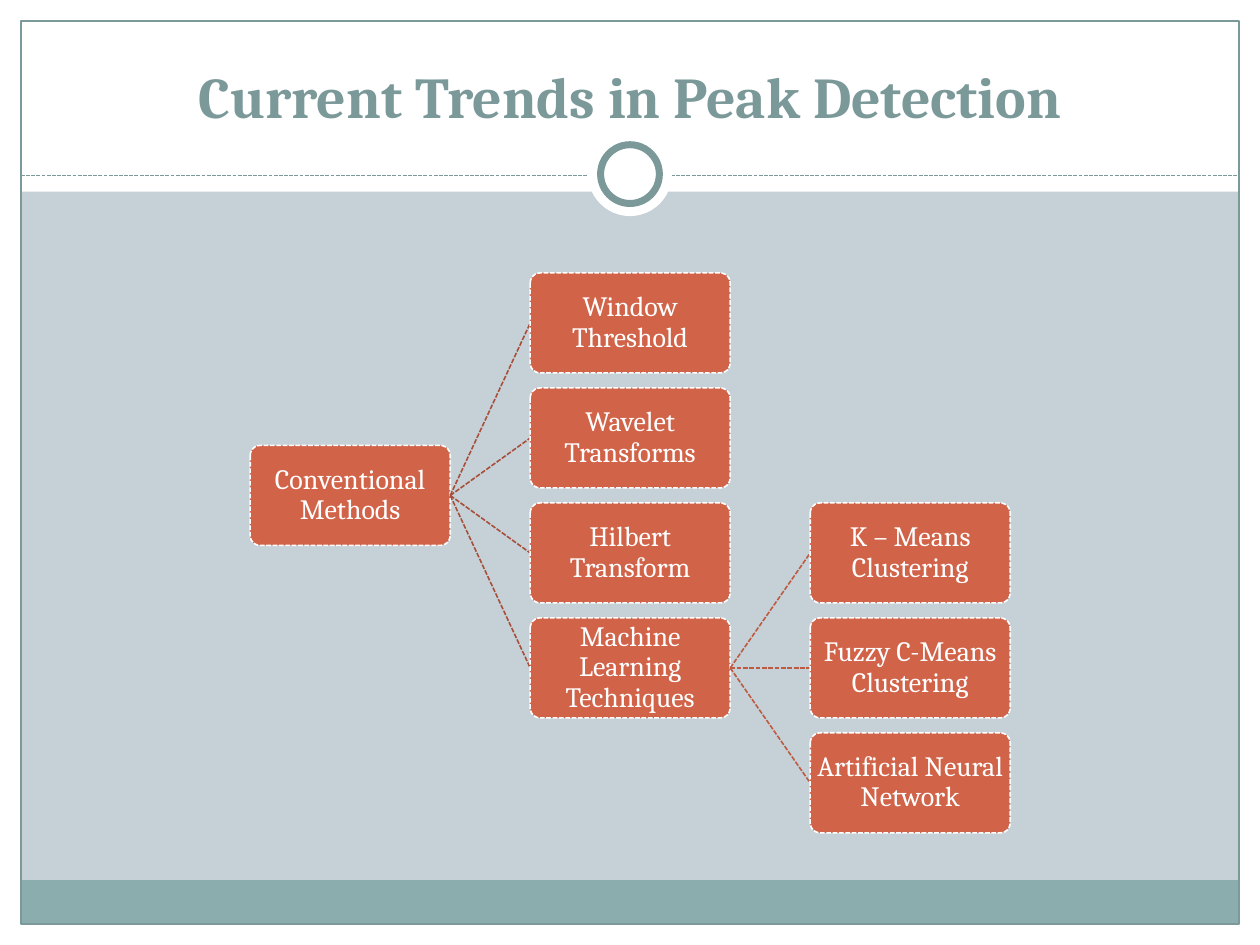
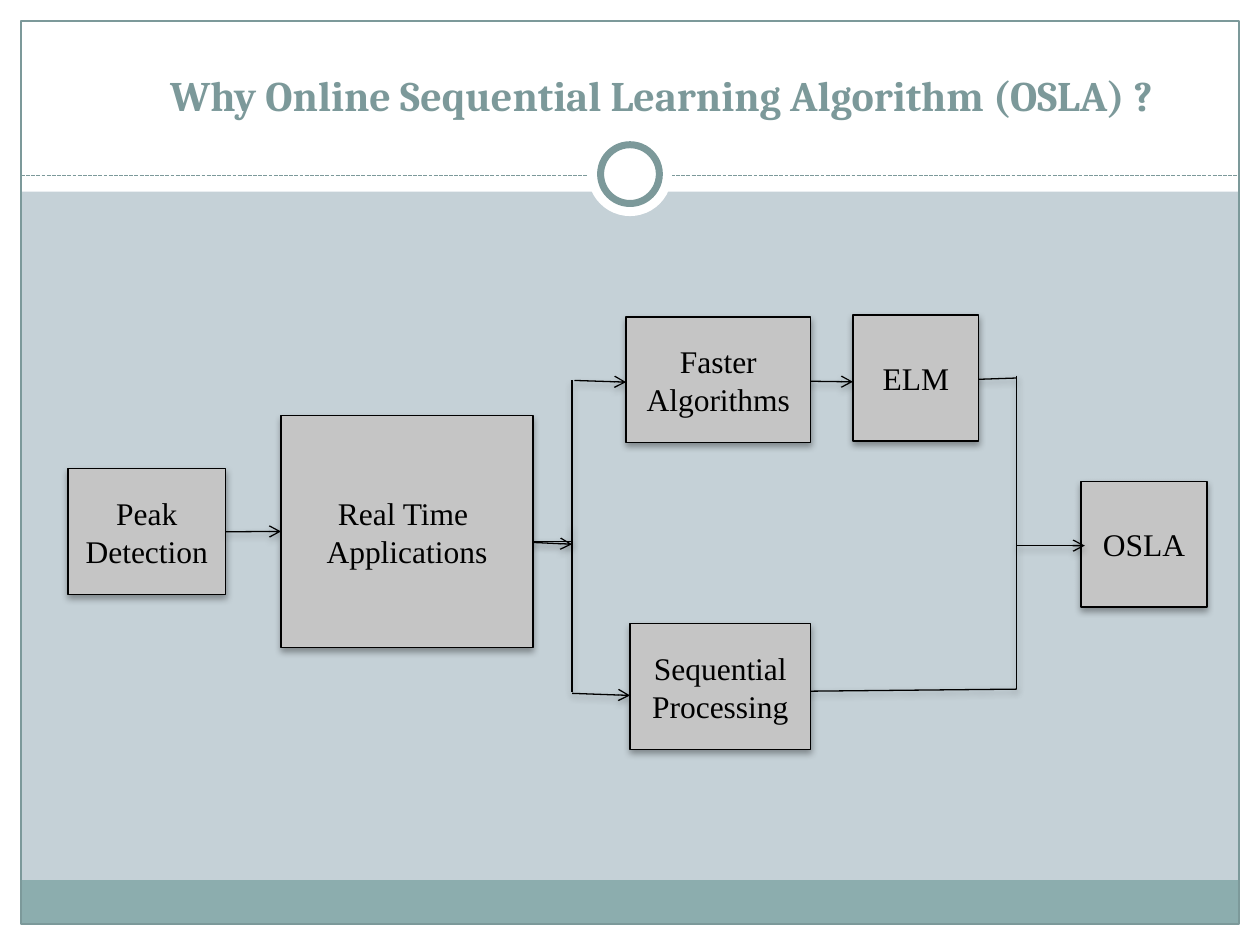
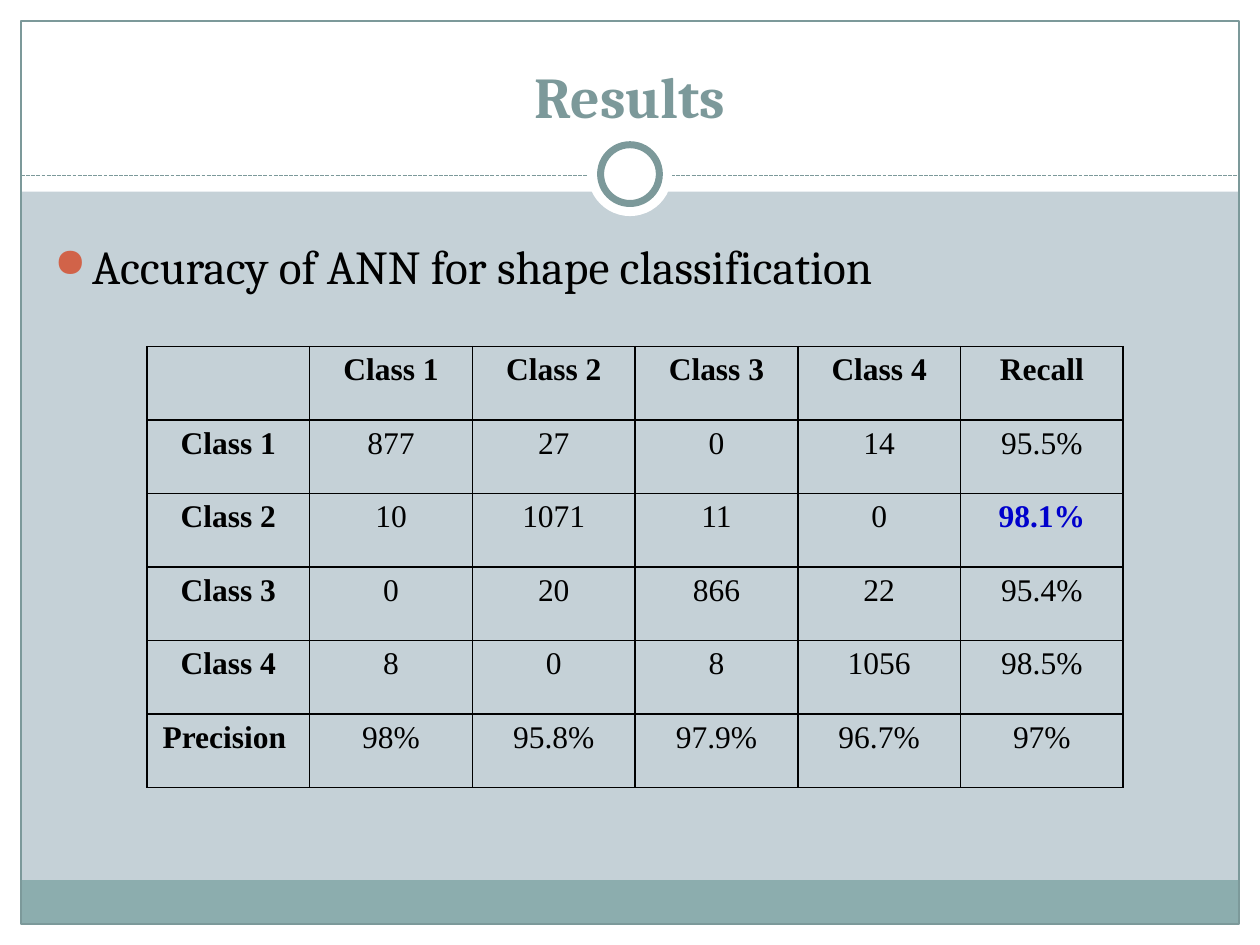
from pptx import Presentation
from pptx import util as u
from pptx.dml.color import RGBColor
from pptx.enum import dml, shapes, text
from pptx.oxml import parse_xml
from pptx.oxml.ns import nsdecls

Pt = u.Pt
WHITE = RGBColor(0xFF, 0xFF, 0xFF)
BLACK = RGBColor(0, 0, 0)
MIST = RGBColor(0xC5, 0xD1, 0xD7)
TEAL = RGBColor(0x7C, 0x99, 0x9A)
SAGE = RGBColor(0x8C, 0xAD, 0xAE)
RUST = RGBColor(0xD1, 0x63, 0x49)
BRICK = RGBColor(0xA7, 0x4F, 0x3A)
CLAY = RGBColor(0xBE, 0x5A, 0x42)
GREY = RGBColor(0xC5, 0xC5, 0xC5)
BLUE = RGBColor(0, 0, 0xCC)
SERIF = "Cambria"
TIMES = "Times New Roman"
RECT = shapes.MSO_SHAPE.RECTANGLE
ROUND = shapes.MSO_SHAPE.ROUNDED_RECTANGLE
OVAL = shapes.MSO_SHAPE.OVAL
MIDDLE = text.MSO_ANCHOR.MIDDLE
CENTER = text.PP_ALIGN.CENTER
DASH = dml.MSO_LINE.SQUARE_DOT
DROP = (
    '<a:outerShdw blurRad="50800" dist="25400" dir="5400000" rotWithShape="0">'
    '<a:srgbClr val="000000"><a:alpha val="35000"/></a:srgbClr></a:outerShdw>'
)


def node(xml):
    head, tail = xml.split(">", 1)
    slash = "/" if head.endswith("/") else ""
    return parse_xml(f"{head.rstrip('/')} {nsdecls('a')}{slash}>{tail}")


def shade(item, drop):
    inner = DROP if drop else ""
    item._element.spPr.append(node(f"<a:effectLst>{inner}</a:effectLst>"))


def stroke(line, color, width, dash=None):
    line.color.rgb = color
    line.width = Pt(width)
    if dash:
        line.dash_style = dash


def shape(slide, kind, place, fill=None, line=None, width=0.75, dash=None, drop=False):
    item = slide.shapes.add_shape(kind, *map(Pt, place))
    if fill is None:
        item.fill.background()
    else:
        item.fill.solid()
        item.fill.fore_color.rgb = fill
    if line is None:
        item.line.fill.background()
    else:
        stroke(item.line, line, width, dash)
    shade(item, drop)
    return item


def link(slide, ends, color=BLACK, width=0.75, dash=None, arrow=False, drop=False):
    item = slide.shapes.add_connector(shapes.MSO_CONNECTOR.STRAIGHT, *map(Pt, ends))
    stroke(item.line, color, width, dash)
    if arrow:
        item.line._get_or_add_ln().append(node('<a:tailEnd type="arrow"/>'))
    shade(item, drop)


def write(frame, lines, font, size, color, bold=False, align=CENTER, lead=None):
    frame.word_wrap = True
    for at, words in enumerate(lines):
        par = frame.add_paragraph() if at else frame.paragraphs[0]
        par.alignment = align
        if lead:
            par.line_spacing = lead
        run = par.add_run()
        run.text = words
        run.font.name = font
        run.font.size = Pt(size)
        run.font.bold = bold
        run.font.color.rgb = color


def label(slide, place, anchor, words, size, color, **look):
    frame = slide.shapes.add_textbox(*map(Pt, place)).text_frame
    frame.vertical_anchor = anchor
    write(frame, [words], SERIF, size, color, **look)
    return frame


def title(slide, words):
    label(slide, (24, 18, 672, 60), text.MSO_ANCHOR.BOTTOM, words, 33, TEAL, bold=True)


def start(deck):
    slide = deck.slides.add_slide(deck.slide_layouts[6])
    slide.background.fill.solid()
    slide.background.fill.fore_color.rgb = MIST
    for band in ((0, 528, 720, 12), (0, 0, 720, 109.5), (0, 0, 12, 540), (708, 0, 12, 540)):
        shape(slide, RECT, band, WHITE)
    shape(slide, RECT, (12, 503, 696, 25), SAGE)
    shape(slide, RECT, (12, 12, 696, 516), line=TEAL)
    link(slide, (12, 100.5, 708, 100.5), TEAL, dash=DASH)
    shape(slide, OVAL, (336, 75.5, 48, 48), WHITE)
    shape(slide, OVAL, (343.2, 82.7, 33.6, 33.6), WHITE, TEAL, 4)
    return slide


def spot(col, row):
    return 143 + 160 * col, 156 + 65.7 * row


def leaf(slide, col, row, words):
    item = shape(slide, ROUND, (*spot(col, row), 114.3, 57.15), RUST, WHITE, 0.9, DASH)
    item.adjustments[0] = 0.1
    frame = item.text_frame
    frame.margin_left = frame.margin_right = Pt(1)
    frame.margin_top = frame.margin_bottom = Pt(1)
    frame.vertical_anchor = MIDDLE
    write(frame, [words], SERIF, 16, WHITE, lead=0.9)


def branch(slide, col, row, first, names, color):
    left, top = spot(col, row)
    for at, words in enumerate(names, first):
        right, end = spot(col + 1, at)
        link(slide, (left + 114.3, top + 28.6, right, end + 28.6), color, 0.9, DASH)
        leaf(slide, col + 1, at, words)


def trends(deck):
    slide = start(deck)
    title(slide, "Current Trends in Peak Detection")
    leaf(slide, 0, 1.5, "Conventional Methods")
    branch(slide, 0, 1.5, 0, ["Window Threshold", "Wavelet Transforms", "Hilbert Transform",
                              "Machine Learning Techniques"], BRICK)
    branch(slide, 1, 3, 2, ["K – Means Clustering", "Fuzzy C-Means Clustering",
                            "Artificial Neural Network"], CLAY)


def step(slide, place, *lines):
    item = shape(slide, RECT, place, GREY, BLACK, drop=True)
    item.text_frame.vertical_anchor = MIDDLE
    write(item.text_frame, lines, TIMES, 18, BLACK)


def flow(deck):
    slide = start(deck)
    step(slide, (38.9, 267.8, 90, 72), "Peak", "Detection")
    step(slide, (617.8, 275, 72, 72), "OSLA")
    fork, join = 326.9, 581
    wires = (
        (304.6, 309.6, fork, 309.6),
        (join, 214.6, join, 394),
        (fork, 217.4, fork, 311.8),
        (fork, 300.2, fork, 395.3),
        (429.8, 395.3, join, 393.8),
        (540.7, 217.4, join, 216),
    )
    arrows = (
        (128.9, 303.9, 160.6, 303.7),
        (296.6, 309.6, fork, 311),
        (328.3, 217.4, 357.8, 218.4),
        (fork, 396.2, 360, 397.4),
        (427.7, 217.4, 487.4, 218.2),
        (join, 311.8, 619.9, 311.8),
    )
    for ends in wires:
        link(slide, ends, drop=True)
    for ends in arrows:
        link(slide, ends, arrow=True, drop=True)
    step(slide, (487.4, 180, 72, 72), "ELM")
    step(slide, (360, 356.4, 103.2, 72), "Sequential", "Processing")
    step(slide, (357.8, 181.1, 105.4, 72), "Faster", "Algorithms")
    step(slide, (160.6, 237.6, 144, 132.3), "Real Time ", "Applications")
    label(slide, (54, 24, 648, 60), MIDDLE,
          "Why Online Sequential Learning Algorithm (OSLA) ?", 24, TEAL, bold=True)


def bullet(slide, words):
    frame = label(slide, (24, 132, 670, 360), text.MSO_ANCHOR.TOP, words, 27, BLACK,
                  align=text.PP_ALIGN.LEFT)
    props = frame.paragraphs[0]._p.get_or_add_pPr()
    props.set("marL", str(Pt(21.6)))
    props.set("indent", str(Pt(-21.6)))
    for xml in (f'<a:buClr><a:srgbClr val="{RUST}"/></a:buClr>',
                '<a:buSzPct val="85000"/>', '<a:buChar char="●"/>'):
        props.append(node(xml))


def edge(cell):
    props = cell._tc.get_or_add_tcPr()
    for at, side in enumerate("LRTB"):
        props.insert(at, node(f'<a:ln{side} w="{Pt(1)}"><a:solidFill>'
                              f'<a:srgbClr val="{BLACK}"/></a:solidFill></a:ln{side}>'))


def grid(slide, rows, best):
    wide, high = len(rows[0]), len(rows)
    place = (84, 198, 93 * wide, 42 * high)
    table = slide.shapes.add_table(high, wide, *map(Pt, place)).table
    table.first_row = table.horz_banding = False
    for r, row in enumerate(rows):
        for c, words in enumerate(row):
            cell = table.cell(r, c)
            cell.fill.background()
            edge(cell)
            if words:
                top = (r, c) == best
                write(cell.text_frame, [words], TIMES, 18, BLUE if top else BLACK,
                      bold=top or r == 0 or c == 0)


def results(deck):
    slide = start(deck)
    title(slide, "Results")
    bullet(slide, "Accuracy of ANN for shape classification")
    rows = (
        ("", "Class 1", "Class 2", "Class 3", "Class 4", "Recall"),
        ("Class 1", "877", "27", "0", "14", "95.5%"),
        ("Class 2", "10", "1071", "11", "0", "98.1%"),
        ("Class 3", "0", "20", "866", "22", "95.4%"),
        ("Class 4", "8", "0", "8", "1056", "98.5%"),
        ("Precision ", "98%", "95.8%", "97.9%", "96.7%", "97%"),
    )
    grid(slide, rows, (2, 5))


def main():
    deck = Presentation()
    deck.slide_width = Pt(720)
    deck.slide_height = Pt(540)
    trends(deck)
    flow(deck)
    results(deck)
    deck.save("out.pptx")


if __name__ == "__main__":
    main()
